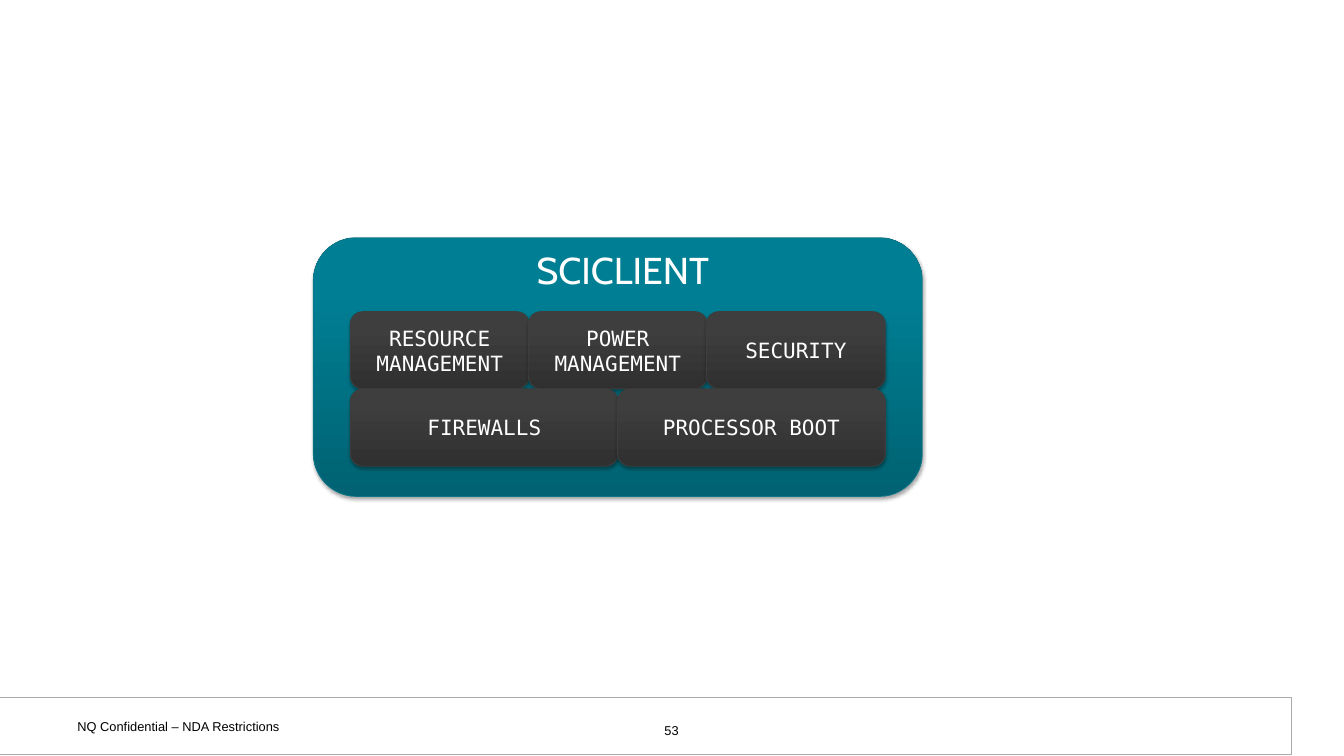
from pptx import Presentation
from pptx.dml.color import RGBColor as Rgb
from pptx.enum.shapes import MSO_SHAPE as Kind
from pptx.enum.text import MSO_ANCHOR as Anchor, PP_ALIGN as Align
from pptx.oxml import parse_xml
from pptx.oxml.ns import nsdecls
from pptx.util import Inches, Pt

HUES = {
    "white": "FFFFFF", "black": "000000", "rule": "AAAAAA",
    "teal": "008095", "sea": "007F94", "deep": "006272", "rim": "0D7687",
    "slate": "3E3E3E", "coal": "303030",
}


class Deck:
    """Holds the style and the current slide, on a grid of 16 columns by 9 rows."""

    def __init__(self):
        self.prs = Presentation()
        self.prs.slide_width, self.prs.slide_height = Inches(16), Inches(9)
        self.col = self.prs.slide_width / 16
        self.row = self.prs.slide_height / 9
        self.slide = self.prs.slides.add_slide(self.prs.slide_layouts[6])

    def area(self, x, y, w, h):
        return [int(v) for v in (x * self.col, y * self.row, w * self.col, h * self.row)]

    def text(self, frame, words, size, font, hue, align):
        para = frame.paragraphs[0]
        para.alignment = align
        run = para.add_run()
        run.text = words
        run.font.size, run.font.name = Pt(size), font
        run.font.color.rgb = Rgb.from_string(HUES[hue])

    def shape(self, kind, box, rim=None):
        item = self.slide.shapes.add_shape(kind, *self.area(*box))
        item.shadow.inherit = False
        item.fill.solid()
        item.fill.fore_color.rgb = Rgb.from_string(HUES["white"])
        if rim:
            item.line.color.rgb = Rgb.from_string(HUES[rim])
            item.line.width = Pt(0.75)
        else:
            item.line.fill.background()
        return item

    def block(self, box, hues, rim, words=None):
        item = self.shape(Kind.ROUNDED_RECTANGLE, box, rim)
        props = item.element.spPr
        stops = "".join(
            f'<a:gs pos="{pos}"><a:srgbClr val="{HUES[hue]}"/></a:gs>'
            for pos, hue in zip((0, 80000, 100000), hues))
        fade = parse_xml(f'<a:gradFill {nsdecls("a")} rotWithShape="1"><a:gsLst>{stops}'
                         '</a:gsLst><a:lin ang="16200000" scaled="0"/></a:gradFill>')
        props.replace(props.find("{*}solidFill"), fade)
        shade = parse_xml(
            f'<a:outerShdw {nsdecls("a")} blurRad="{Pt(3.1)}" dist="{Pt(1.8)}" dir="5400000" '
            f'rotWithShape="0"><a:srgbClr val="{HUES["black"]}"><a:alpha val="35000"/>'
            '</a:srgbClr></a:outerShdw>')
        props.find("{*}effectLst").append(shade)
        if words:
            frame = item.text_frame
            frame.word_wrap, frame.vertical_anchor = True, Anchor.MIDDLE
            self.text(frame, words, 18, "DejaVu Sans Mono", "white", Align.CENTER)

    def label(self, box, words, size, font, hue, pad, align=Align.LEFT, wrap=True):
        frame = self.slide.shapes.add_textbox(*self.area(*box)).text_frame
        frame.word_wrap = wrap
        frame.margin_left = frame.margin_right = Inches(pad[0])
        frame.margin_top = frame.margin_bottom = Inches(pad[1])
        self.text(frame, words, size, font, hue, align)

    def tiles(self, top, names):
        left, step, gap = 4.17, 6.36 / len(names), 0.01
        for i, name in enumerate(names):
            self.block((left + i * step, top, step + gap, 0.92),
                       ("coal", "slate", "slate"), "slate", name)


def main():
    deck = Deck()
    deck.shape(Kind.RECTANGLE, (0.07, 8.3, 15.29, 0.6))
    deck.shape(Kind.RECTANGLE, (-0.03, 8.3, 15.4, 0.68), "rule")
    foot = (11, "Arial", "black", (0.13, 0.07))
    deck.label((0.79, 8.48, 3.69, 0.32), "NQ Confidential – NDA Restrictions", *foot)
    deck.label((6.13, 8.53, 3.73, 0.27), "53", *foot, Align.CENTER)
    deck.block((3.73, 2.83, 7.25, 3.08), ("deep", "sea", "teal"), "rim")
    deck.label((6.29, 2.89, 2.26, 1.16), "SCICLIENT", 32, "Cabin", "white",
               (0.1, 0.05), wrap=False)
    deck.tiles(3.71, ("RESOURCE MANAGEMENT", "POWER MANAGEMENT", "SECURITY"))
    deck.tiles(4.63, ("FIREWALLS", "PROCESSOR BOOT"))
    deck.prs.save("out.pptx")


if __name__ == "__main__":
    main()
